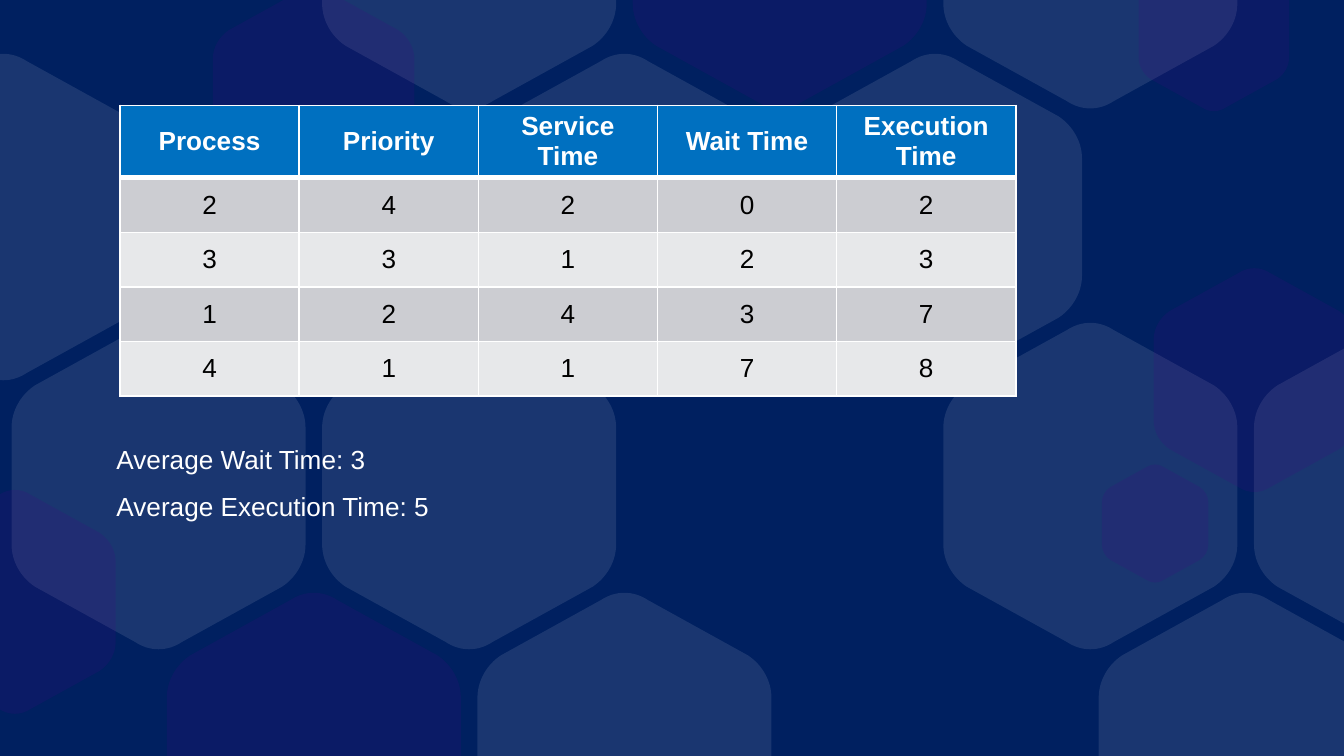
from pptx import Presentation
from pptx.dml.color import RGBColor
from pptx.enum.text import MSO_ANCHOR as Anchor, PP_ALIGN as Align
from pptx.oxml.ns import qn
from pptx.util import Pt
from lxml.etree import SubElement

NAVY = RGBColor(0x00, 0x20, 0x60)
BLUE = RGBColor(0x00, 0x70, 0xC0)
PURPLE = RGBColor(0x4F, 0x00, 0x89)
WHITE = RGBColor(0xFF, 0xFF, 0xFF)
BLACK = RGBColor(0x00, 0x00, 0x00)
GREY = RGBColor(0xCC, 0xCD, 0xD2)
PALE = RGBColor(0xE7, 0xE8, 0xEA)

FONT = "Arial"
SLIDE_W, SLIDE_H = 720, 405
OPACITY = {WHITE: 10, PURPLE: 15}  # percent

# Rounded corners of a unit hexagon, as cubic curves
TOP_CORNER = ((0.42, 0.02), (0.47, -0.01), (0.53, -0.01), (0.58, 0.02))
RIGHT_CORNER = ((0.92, 0.19), (0.97, 0.22), (1, 0.27), (1, 0.32))

# Honeycomb: row top -> (column, colour) pairs
HEX_RATIO = 1.105  # height to width
HEX_W, COLUMN_PITCH, HONEYCOMB_LEFT = 157.5, 166.4, -77
HONEYCOMB = {
    -116.4: ((2.5, PURPLE), (3.5, WHITE), (1.5, WHITE)),
    318: ((1, PURPLE), (2, WHITE), (4, WHITE)),
    173.4: ((0.5, WHITE), (1.5, WHITE), (3.5, WHITE), (4.5, WHITE)),
    29.3: ((0, WHITE), (2, WHITE), (3, WHITE)),
}
# Loose purple hexagons: left, top, width
LOOSE_HEXAGONS = ((618, 144, 108), (114, -6.5, 108), (-46, 262.8, 108),
                  (90.7, 103.7, 57), (590.3, 249, 57))
CUT_HEXAGON = (610, -29.7, 80.6)

SCHEDULE = (
    ("Process", "Priority", "Service Time", "Wait Time", "Execution Time"),
    (2, 4, 2, 0, 2),
    (3, 3, 1, 2, 3),
    (1, 2, 4, 3, 7),
    (4, 1, 1, 7, 8),
)
AVERAGES = ("Average Wait Time: 3", "Average Execution Time: 5")


def hexagon_corners():
    """Six corners, clockwise from the upper left."""
    upper_left = [(1 - x, y) for x, y in reversed(RIGHT_CORNER)]
    upper = [upper_left, TOP_CORNER, RIGHT_CORNER]
    return upper + [[(1 - x, 1 - y) for x, y in corner] for corner in upper]


def round_corners(hexagon, first, count):
    """Turn the last three points of each corner into one cubic curve."""
    lines = list(hexagon.element.iter(qn("a:lnTo")))
    for corner in range(count):
        start = first + 4 * corner
        curve, *rest = lines[start:start + 3]
        curve.tag = qn("a:cubicBezTo")
        for line in rest:
            curve.append(line[0])
            line.getparent().remove(line)


def add_hexagon(slide, left, top, width, color, cut=False):
    """Draw a rounded hexagon; cut ends it at the slide's top or bottom."""
    height = width * HEX_RATIO
    corners = hexagon_corners()
    if cut:
        corners = corners[3:] if top < 0 else corners[:3]
    points = [(left + x * width, top + y * height)
              for corner in corners for x, y in corner]
    if cut:
        edge = 0 if top < 0 else SLIDE_H
        points = [(points[0][0], edge), *points, (points[-1][0], edge)]
    points = [(Pt(x), Pt(y)) for x, y in points]
    builder = slide.shapes.build_freeform(*points[0])
    builder.add_line_segments(points[1:], close=True)
    hexagon = builder.convert_to_shape()
    round_corners(hexagon, 1 if cut else 0, len(corners))
    hexagon.shadow.inherit = False
    hexagon.line.fill.background()
    hexagon.fill.solid()
    hexagon.fill.fore_color.rgb = color
    tint = next(hexagon.element.spPr.iter(qn("a:srgbClr")))
    SubElement(tint, qn("a:alpha"), val=str(OPACITY[color] * 1000))


def add_backdrop(slide):
    slide.background.fill.solid()
    slide.background.fill.fore_color.rgb = NAVY
    for top, cells in HONEYCOMB.items():
        cut = top < 0 or top + HEX_W > SLIDE_H
        for column, color in cells:
            left = HONEYCOMB_LEFT + column * COLUMN_PITCH
            add_hexagon(slide, left, top, HEX_W, color, cut)
    for box in LOOSE_HEXAGONS:
        add_hexagon(slide, *box, PURPLE)
    add_hexagon(slide, *CUT_HEXAGON, PURPLE, cut=True)


def style_paragraph(paragraph, color, bold=False):
    for run in paragraph.runs:
        run.font.name = FONT
        run.font.size = Pt(14)
        run.font.bold = bold
        run.font.color.rgb = color


def add_borders(cell, top, bottom):
    properties = cell._tc.get_or_add_tcPr()
    for side, width in (("L", 1), ("R", 1), ("T", top), ("B", bottom)):
        border = SubElement(properties, qn(f"a:ln{side}"), w=str(Pt(width)))
        paint = SubElement(border, qn("a:solidFill"))
        SubElement(paint, qn("a:srgbClr"), val=str(WHITE))


def add_schedule(slide, left, top, width, height, header_height):
    rows, columns = len(SCHEDULE), len(SCHEDULE[0])
    table = slide.shapes.add_table(rows, columns, Pt(left), Pt(top),
                                   Pt(width), Pt(height)).table
    for column in table.columns:
        column.width = Pt(width / columns)
    for r, values in enumerate(SCHEDULE):
        header = r == 0
        table.rows[r].height = Pt(header_height if header
                                  else (height - header_height) / (rows - 1))
        for c, value in enumerate(values):
            cell = table.cell(r, c)
            cell.text = str(value)
            cell.vertical_anchor = Anchor.MIDDLE
            cell.margin_top = cell.margin_bottom = Pt(3.3)
            add_borders(cell, 3 if r == 1 else 1, 3 if header else 1)
            cell.fill.solid()
            cell.fill.fore_color.rgb = BLUE if header else GREY if r % 2 else PALE
            paragraph = cell.text_frame.paragraphs[0]
            paragraph.alignment = Align.CENTER
            style_paragraph(paragraph, WHITE if header else BLACK, header)


def add_averages(slide, left, top, width, height):
    frame = slide.shapes.add_textbox(Pt(left), Pt(top), Pt(width), Pt(height)).text_frame
    frame.word_wrap = True
    frame.text = "\n".join(AVERAGES)
    for paragraph in frame.paragraphs:
        paragraph.line_spacing = 1.5
        style_paragraph(paragraph, WHITE)


def main():
    deck = Presentation()
    deck.slide_width, deck.slide_height = Pt(SLIDE_W), Pt(SLIDE_H)
    slide = deck.slides.add_slide(deck.slide_layouts[6])
    # Honeycomb background
    add_backdrop(slide)
    # Process table
    add_schedule(slide, 64.3, 56.4, 480, 155.7, 38.9)
    # Averages below the table
    add_averages(slide, 55.3, 225.5, 453.6, 54.7)
    deck.save("out.pptx")


if __name__ == "__main__":
    main()
